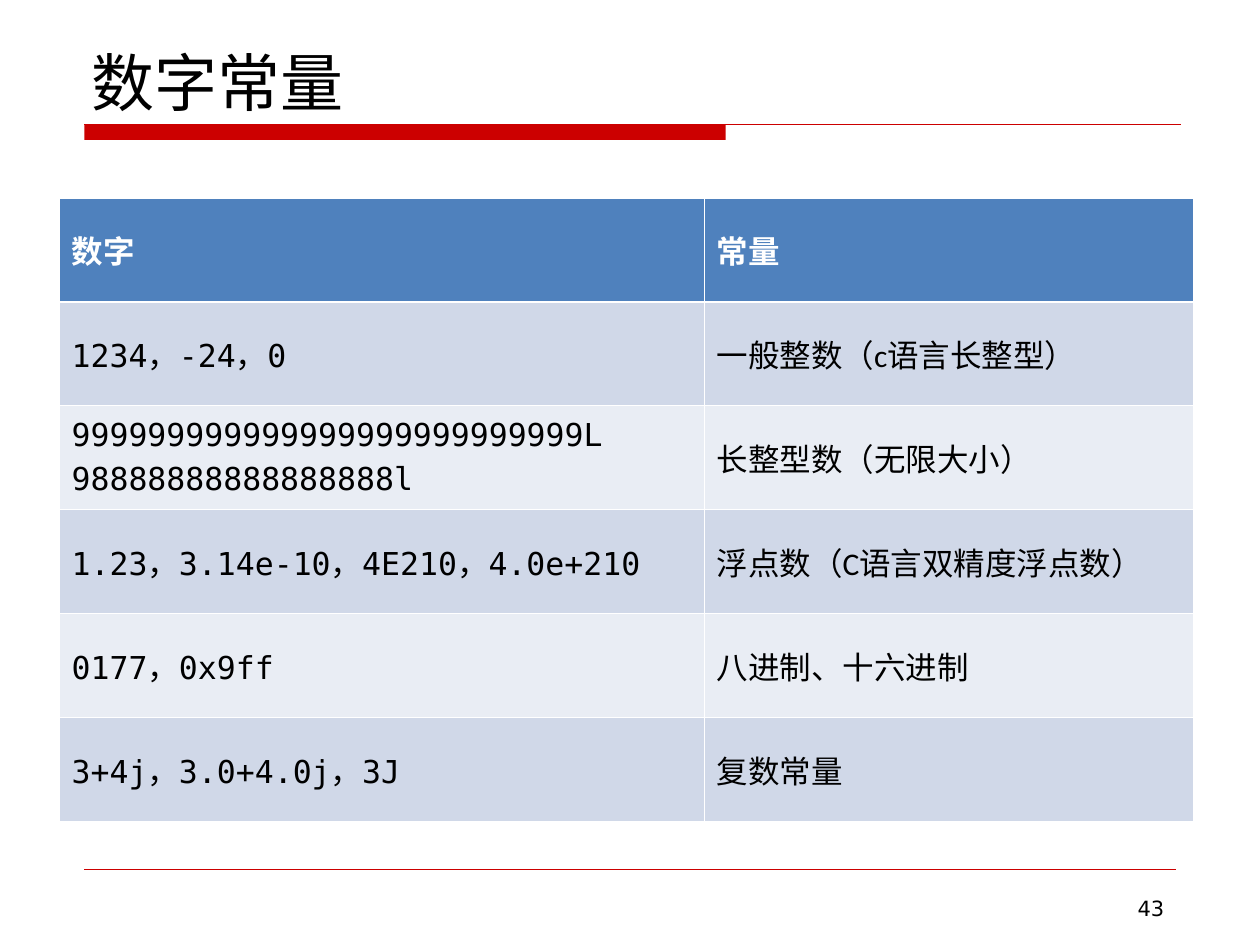
from lxml import etree
from pptx import Presentation
from pptx import util as u
from pptx.dml.color import RGBColor
from pptx.enum import shapes, text
from pptx.oxml.ns import qn

RED, BLACK, WHITE = "CC0000", "000000", "FFFFFF"
HEADER, BANDS = "4F81BD", ("D0D8E8", "E9EDF4")
SANS, MONO, COURIER, CALIBRI = "DejaVu Sans", "DejaVu Sans Mono", "Courier New", "Calibri"
THIN, THICK = 0.45, 1.47

# Each row: number examples, meaning, font of the meaning
CONSTANTS = [
    ("1234，-24，0", "一般整数（c语言长整型）", CALIBRI),
    ("999999999999999999999999999L\n98888888888888888l", "长整型数（无限大小）", COURIER),
    ("1.23，3.14e-10，4E210，4.0e+210", "浮点数（C语言双精度浮点数）", CALIBRI),
    ("0177，0x9ff", "八进制、十六进制", COURIER),
    ("3+4j，3.0+4.0j，3J", "复数常量", COURIER),
]


def rgb(value):
    return RGBColor.from_string(value)


def write(frame, words, size, font, color=BLACK, bold=False, align=text.PP_ALIGN.LEFT):
    frame.text = words
    for index, para in enumerate(frame.paragraphs):
        para.alignment = align
        para.space_before = u.Pt(4.5 if index else 0)
        for span in para.runs:
            span.font.size = u.Pt(size)
            span.font.name = font
            span.font.bold = bold
            span.font.color.rgb = rgb(color)


def add_title(page, words):
    title = page.shapes.title
    title.left, title.top = u.Cm(1.6), u.Cm(0.84)
    title.width, title.height = u.Cm(22.22), u.Cm(1.68)
    frame = title.text_frame
    frame.auto_size = text.MSO_AUTO_SIZE.NONE
    frame.vertical_anchor = text.MSO_ANCHOR.BOTTOM
    write(frame, words, 36, SANS)


def add_bar(page, left, top, width, height, color):
    bar = page.shapes.add_shape(shapes.MSO_SHAPE.RECTANGLE,
                                u.Cm(left), u.Cm(top), u.Cm(width), u.Cm(height))
    bar.shadow.inherit = False
    bar.fill.solid()
    bar.fill.fore_color.rgb = rgb(color)
    bar.line.fill.background()


def add_rule(page, left, right, y, color, weight):
    rule = page.shapes.add_connector(shapes.MSO_CONNECTOR.STRAIGHT,
                                     u.Cm(left), u.Cm(y), u.Cm(right), u.Cm(y))
    rule.line.color.rgb = rgb(color)
    rule.line.width = u.Pt(weight)
    etree.SubElement(rule._element.spPr, qn("a:effectLst"))


def set_borders(cell, top, bottom):
    properties = cell._tc.get_or_add_tcPr()
    for side, weight in (("L", THIN), ("R", THIN), ("T", top), ("B", bottom)):
        line = etree.SubElement(properties, qn(f"a:ln{side}"), w=str(int(u.Pt(weight))))
        fill = etree.SubElement(line, qn("a:solidFill"))
        etree.SubElement(fill, qn("a:srgbClr"), val=WHITE)


def fill_cell(cell, words, font, fill, color=BLACK, bold=False, top=THIN, bottom=THIN):
    set_borders(cell, top, bottom)
    cell.fill.solid()
    cell.fill.fore_color.rgb = rgb(fill)
    cell.vertical_anchor = text.MSO_ANCHOR.MIDDLE
    write(cell.text_frame, words, 18, font, color, bold)


def add_constants_table(page):
    table = page.shapes.add_table(len(CONSTANTS) + 1, 2, u.Cm(1.19), u.Cm(3.99),
                                  u.Cm(22.86), u.Cm(12.57)).table
    table.columns[0].width, table.columns[1].width = u.Cm(13), u.Cm(9.86)
    for column, heading in enumerate(("数字", "常量")):
        fill_cell(table.cell(0, column), heading, COURIER, HEADER, WHITE, True, bottom=THICK)
    for row, (numbers, meaning, font) in enumerate(CONSTANTS, 1):
        band = BANDS[(row - 1) % 2]
        top = THICK if row == 1 else THIN
        fill_cell(table.cell(row, 0), numbers, MONO, band, top=top)
        fill_cell(table.cell(row, 1), meaning, font, band, top=top)


def add_page_number(page, number):
    box = page.shapes.add_textbox(u.Cm(18.21), u.Cm(17.93), u.Cm(5.51), u.Cm(0.74))
    box.text_frame.word_wrap = True
    write(box.text_frame, number, 12, SANS, align=text.PP_ALIGN.RIGHT)


def main():
    deck = Presentation()
    deck.slide_width, deck.slide_height = u.Cm(25.4), u.Cm(19.05)
    page = deck.slides.add_slide(deck.slide_layouts[5])
    # Title with its red underline
    add_bar(page, 1.7, 2.51, 12.93, 0.31, RED)
    add_rule(page, 1.7, 23.8, 2.51, RED, 0.75)
    add_title(page, "数字常量")
    # Content
    add_constants_table(page)
    # Footer
    add_rule(page, 1.7, 23.7, 17.53, RED, 0.25)
    add_page_number(page, "43")
    deck.save("out.pptx")


if __name__ == "__main__":
    main()
